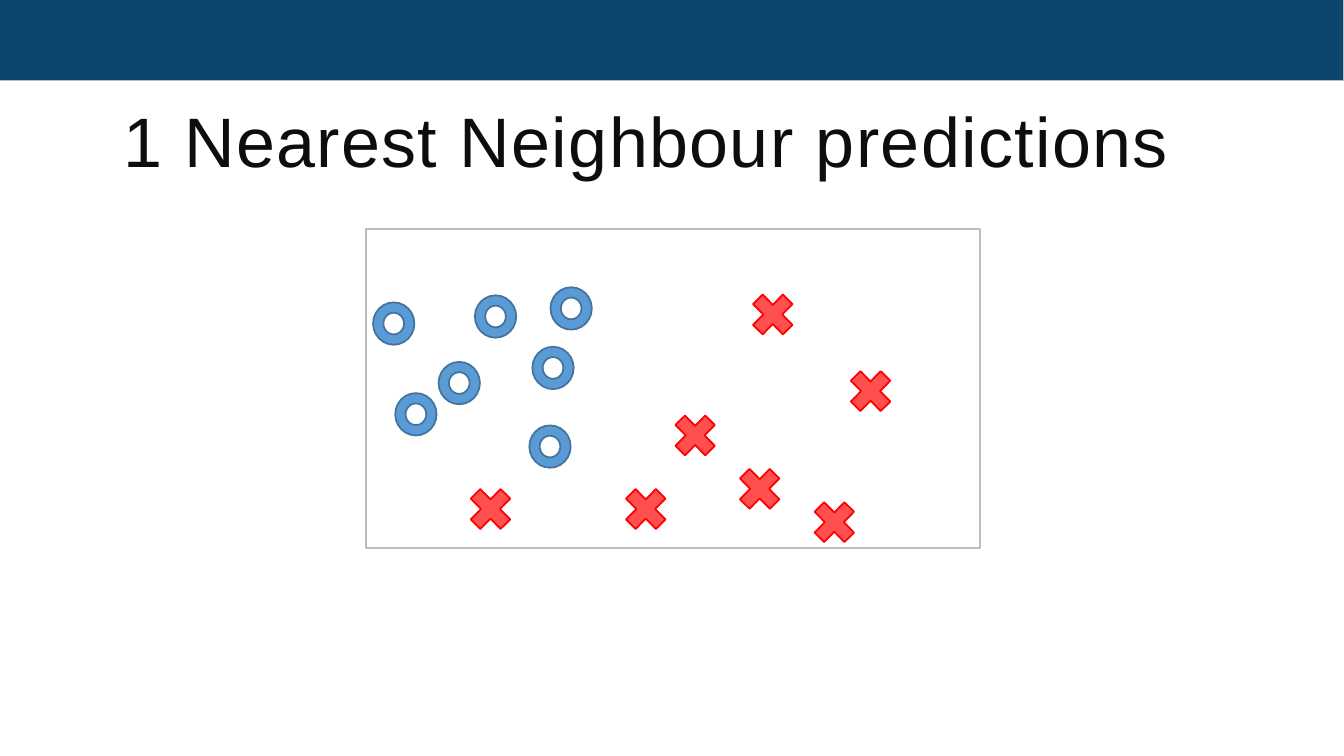
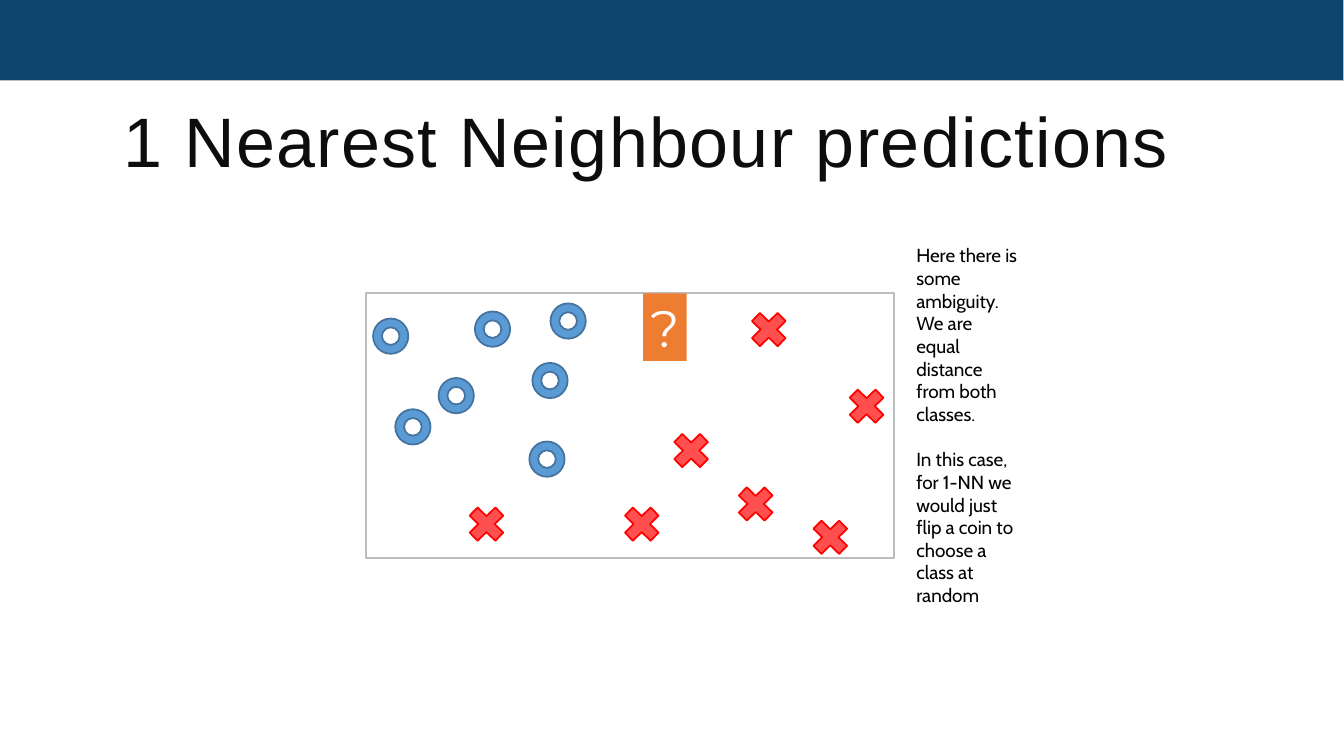
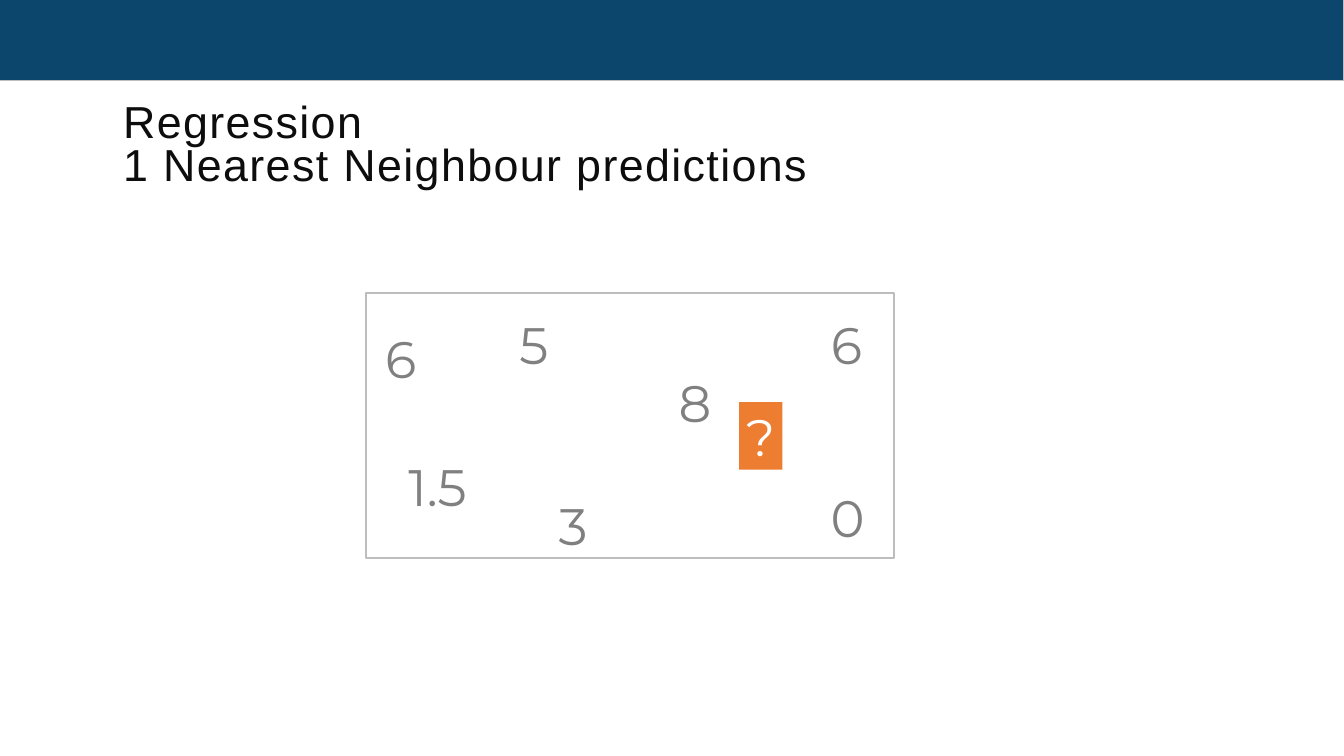
from copy import deepcopy
from dataclasses import dataclass

from pptx import Presentation
from pptx.dml.color import RGBColor
from pptx.enum.shapes import MSO_SHAPE as SHAPE
from pptx.enum.text import MSO_ANCHOR as ANCHOR, MSO_AUTO_SIZE as FIT, PP_ALIGN as ALIGN
from pptx.oxml.ns import qn
from pptx.util import Inches, Pt


@dataclass(frozen=True)
class Theme:
    band: str = "0C466D"
    rule: str = "BDBDBD"
    title: str = "0D0D0D"
    text: str = "000000"
    number: str = "808080"
    query: str = "ED7D31"
    query_text: str = "FFFFFF"
    ring: str = "5B9BD5"
    ring_line: str = "43739E"
    cross: str = "FF4F4F"
    cross_line: str = "FF0000"
    title_font: str = "Arial"
    note_font: str = "Cabin"
    number_font: str = "Montserrat"
    title_size: float = 50
    small_title_size: float = 32
    note_size: float = 13.5
    number_size: float = 36.6
    line_width: float = 1.25


T = Theme()
TITLE_BOX = (1.12, 0.64, 10.63, 1.64)
BAND_BOX = (-0.12, -0.19, 13.45, 0.99)
TALL_PLOT = (3.63, 2.27, 6.09, 3.17)
PLOT = (3.63, 2.91, 5.24, 2.63)
DIGIT_W, DIGIT_H = 0.43, 0.67

# Left and top of each training point in the tall plot
RINGS = [(4.71, 2.93), (5.28, 3.44), (5.25, 4.22), (3.92, 3.9),
         (5.46, 2.85), (3.7, 3), (4.35, 3.59)]
CROSSES = [(7.38, 2.83), (7.99, 4.89), (6.61, 4.03), (6.12, 4.76),
           (4.58, 4.76), (8.35, 3.59), (7.25, 4.56)]
# Value, left, top and width of each regression target
TARGETS = [("6", 3.76, 3.22, DIGIT_W), ("3", 5.47, 4.87, DIGIT_W),
           ("0", 8.18, 4.79, DIGIT_W), ("8", 6.67, 3.65, DIGIT_W),
           ("6", 8.18, 3.08, DIGIT_W), ("1.5", 3.76, 4.49, 1.16),
           ("5", 5.08, 3.08, DIGIT_W)]


def rgb(value):
    return RGBColor.from_string(value)


def place(sp, box):
    sp.left, sp.top, sp.width, sp.height = map(Inches, box)


def write(p, text, font, size, color, align=ALIGN.LEFT, spacing=None):
    """Fill a paragraph; a newline becomes a line break of the same size."""
    p.text = text
    p.alignment = align
    for r in p.runs:
        r.font.name, r.font.size = font, Pt(size)
        r.font.color.rgb = rgb(color)
        if spacing:
            r.font._element.set("spc", str(int(spacing * 100)))
    for br in p._p.findall(qn("a:br")):
        br.append(deepcopy(p.runs[0].font._element))


def add_shape(s, kind, box, fill=None, line=None):
    sp = s.shapes.add_shape(kind, *map(Inches, box))
    sp.shadow.inherit = False
    if fill:
        sp.fill.solid()
        sp.fill.fore_color.rgb = rgb(fill)
    else:
        sp.fill.background()
    if line:
        sp.line.color.rgb = rgb(line)
        sp.line.width = Pt(T.line_width)
    else:
        sp.line.fill.background()
    return sp


def share_band(s, layout):
    """Move the top band to the layout, behind its title."""
    for ph in list(layout.placeholders)[1:]:
        ph.element.getparent().remove(ph.element)
    band = add_shape(s, SHAPE.RECTANGLE, BAND_BOX, T.band, T.rule)
    layout.shapes.element.insert(2, band.element)


def add_slide(prs, layout, title, size=T.title_size):
    s = prs.slides.add_slide(layout)
    sp = s.shapes.title
    place(sp, TITLE_BOX)
    tf = sp.text_frame
    tf.vertical_anchor, tf.auto_size = ANCHOR.MIDDLE, FIT.NONE
    p = tf.paragraphs[0]
    write(p, title, T.title_font, size, T.title, spacing=1)
    p.line_spacing = 0.8
    return s


def add_number(sp, text, color):
    tf = sp.text_frame
    tf.word_wrap, tf.auto_size = True, FIT.SHAPE_TO_FIT_TEXT
    tf.vertical_anchor = ANCHOR.TOP
    tf.margin_left = tf.margin_right = Inches(0.06)
    tf.margin_top = tf.margin_bottom = Inches(0.03)
    write(tf.paragraphs[0], text, T.number_font, T.number_size, color, ALIGN.CENTER)


def add_query(s, left, top):
    sp = add_shape(s, SHAPE.RECTANGLE, (left, top, DIGIT_W, DIGIT_H), T.query)
    add_number(sp, "?", T.query_text)


def add_target(s, text, left, top, width):
    sp = s.shapes.add_textbox(*map(Inches, (left, top, width, DIGIT_H)))
    add_number(sp, text, T.number)


def add_plot(s, box):
    add_shape(s, SHAPE.RECTANGLE, box, line=T.rule)


def add_points(s, ring_size, cross_size, ring_drop=0, cross_drop=0):
    for left, top in RINGS:
        add_shape(s, SHAPE.DONUT, (left, top + ring_drop, *ring_size),
                  T.ring, T.ring_line)
    for left, top in CROSSES:
        add_shape(s, SHAPE.MATH_MULTIPLY, (left, top + cross_drop, *cross_size),
                  T.cross, T.cross_line)


def add_note(s, box, paragraphs):
    tf = s.shapes.add_textbox(*map(Inches, box)).text_frame
    tf.word_wrap, tf.auto_size = True, FIT.SHAPE_TO_FIT_TEXT
    for i, text in enumerate(paragraphs):
        p = tf.add_paragraph() if i else tf.paragraphs[0]
        write(p, text, T.note_font, T.note_size, T.text)
        if i:
            p.space_before = Pt(16.2)


def main():
    prs = Presentation()
    prs.slide_width, prs.slide_height = Inches(13.33), Inches(7.5)
    layout = prs.slide_layouts[5]
    place(layout.placeholders[0], TITLE_BOX)
    title = "1 Nearest Neighbour predictions"

    s = add_slide(prs, layout, title)
    share_band(s, layout)
    add_plot(s, TALL_PLOT)
    add_points(s, (0.41, 0.42), (0.57, 0.58))

    s = add_slide(prs, layout, title)
    add_plot(s, PLOT)
    add_points(s, (0.35, 0.35), (0.49, 0.48), ring_drop=0.16, cross_drop=0.2)
    add_query(s, 6.38, 2.91)
    add_note(s, (8.99, 2.37, 1.21, 3.74), [
        "Here there is some ambiguity. We are equal distance from both classes.",
        "In this case, for 1-NN we would just flip a coin to choose a class at random",
    ])

    s = add_slide(prs, layout, "Regression\n" + title, T.small_title_size)
    add_plot(s, PLOT)
    add_query(s, 7.33, 3.99)
    for target in TARGETS:
        add_target(s, *target)

    prs.save("out.pptx")


if __name__ == "__main__":
    main()
